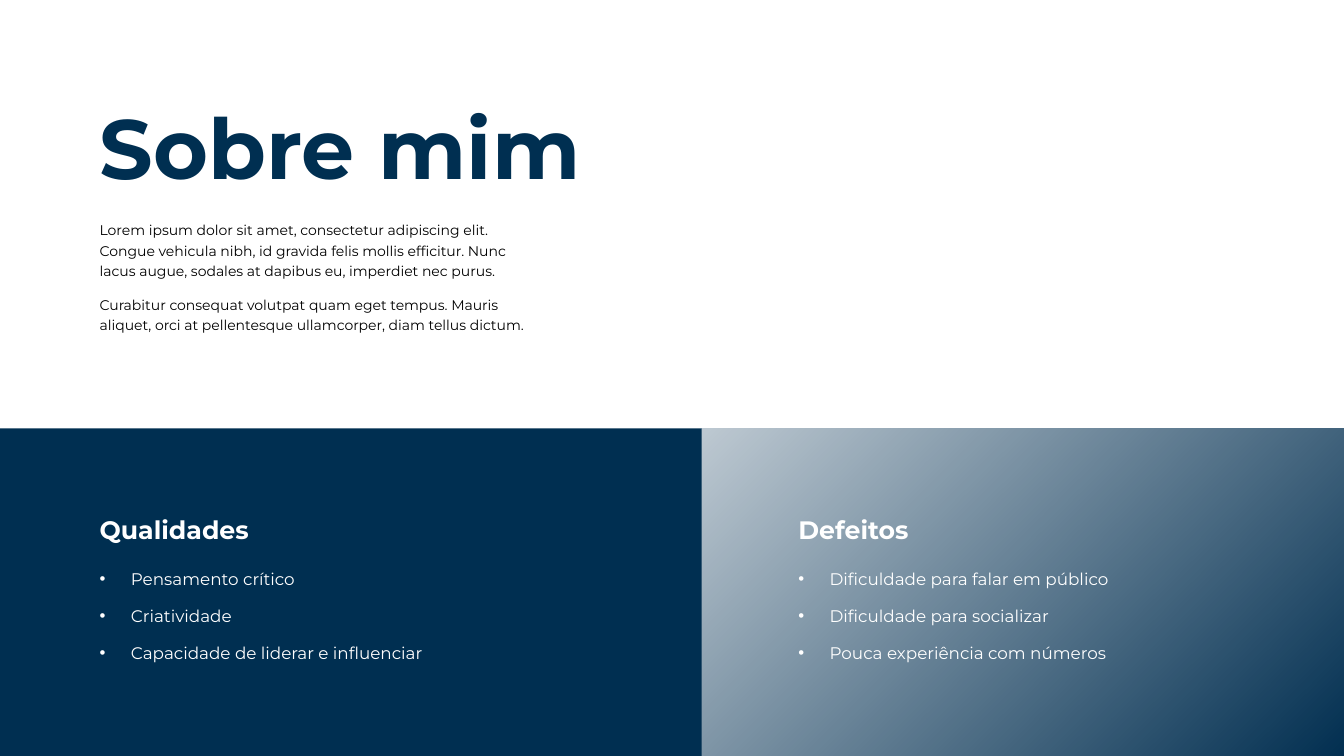
from pptx import Presentation
from pptx.dml.color import RGBColor
from pptx.enum.shapes import MSO_SHAPE
from pptx.enum.text import MSO_ANCHOR, MSO_AUTO_SIZE, PP_ALIGN
from pptx.oxml.ns import qn
from pptx.util import Inches, Pt
from lxml.etree import SubElement

NAVY = RGBColor(0x00, 0x2F, 0x51)
WHITE = RGBColor(0xFF, 0xFF, 0xFF)
BLACK = RGBColor(0x00, 0x00, 0x00)

INTRO = [
    "Lorem ipsum dolor sit amet, consectetur adipiscing elit. Congue vehicula nibh, "
    "id gravida felis mollis efficitur. Nunc lacus augue, sodales at dapibus eu, "
    "imperdiet nec purus.",
    "Curabitur consequat volutpat quam eget tempus. Mauris aliquet, orci at "
    "pellentesque ullamcorper, diam tellus dictum.",
]
TRAITS = [
    (0.89, "Qualidades",
     ["Pensamento crítico", "Criatividade", "Capacidade de liderar e influenciar"]),
    (7.82, "Defeitos",
     ["Dificuldade para falar em público", "Dificuldade para socializar",
      "Pouca experiência com números"]),
]


class SlideBuilder:
    font = "Montserrat"

    def __init__(self, prs):
        self.s = prs.slides.add_slide(prs.slide_layouts[5])

    def place(self, sp, left, top, width, height):
        sp.left, sp.top = Inches(left), Inches(top)
        sp.width, sp.height = Inches(width), Inches(height)

    def style(self, p, size, color, bold=False, spacing=1.0):
        p.alignment = PP_ALIGN.LEFT
        p.line_spacing = spacing
        for r in p.runs:
            r.font.name = self.font
            r.font.size = Pt(size)
            r.font.bold = bold
            r.font.color.rgb = color

    def title(self, text, box):
        sp = self.s.shapes.title
        self.place(sp, *box)
        tf = sp.text_frame
        tf.text = text
        tf.word_wrap = True
        tf.auto_size = MSO_AUTO_SIZE.NONE
        tf.vertical_anchor = MSO_ANCHOR.BOTTOM
        self.style(tf.paragraphs[0], 60, NAVY, True, 0.8)

    def panel(self, *box):
        sp = self.s.shapes.add_shape(MSO_SHAPE.RECTANGLE, *map(Inches, box))
        sp.shadow.inherit = False
        sp.line.fill.background()
        sp.fill.solid()
        sp.fill.fore_color.rgb = NAVY
        return sp

    def fading_panel(self, *box):
        fill = self.panel(*box).fill
        fill.gradient()
        fill.gradient_angle = 315
        for stop, position in zip(fill.gradient_stops, (0, 1)):
            stop.position = position
            stop.color.rgb = NAVY
        start = next(self.s.shapes[-1]._element.spPr.iter(qn("a:srgbClr")))
        SubElement(start, qn("a:alpha"), val="26000")

    def text(self, lines, box, size, color, bold=False, spacing=1.0, gap=0, bullets=False):
        tf = self.s.shapes.add_textbox(*map(Inches, box)).text_frame
        tf.word_wrap = True
        tf.text = "\n".join(lines)
        for i, p in enumerate(tf.paragraphs):
            self.style(p, size, color, bold, spacing)
            if i:
                p.space_before = Pt(gap)
            if bullets:
                self.bullet(p)

    def bullet(self, p):
        pPr = p._p.get_or_add_pPr()
        pPr.set("marL", str(Inches(0.31)))
        pPr.set("indent", str(-Inches(0.31)))
        SubElement(pPr, qn("a:buFont"), typeface="Arial")
        SubElement(pPr, qn("a:buChar"), char="•")


def main():
    prs = Presentation()
    prs.slide_width, prs.slide_height = Inches(13.33), Inches(7.5)
    slide = SlideBuilder(prs)
    slide.title("Sobre mim", (0.89, 1.06, 5.54, 0.93))
    slide.panel(0, 4.25, 6.96, 3.25)
    slide.fading_panel(6.96, 4.25, 6.37, 3.25)
    slide.text(INTRO, (0.89, 2.12, 4.5, 1.3), 10, BLACK, spacing=1.2, gap=10)
    for left, heading, traits in TRAITS:
        slide.text([heading], (left, 5.09, 4.18, 0.4), 18, WHITE, bold=True, spacing=0.9)
        slide.text(traits, (left, 5.59, 5.25, 1.32), 12, WHITE, gap=12, bullets=True)
    prs.save("out.pptx")


if __name__ == "__main__":
    main()
